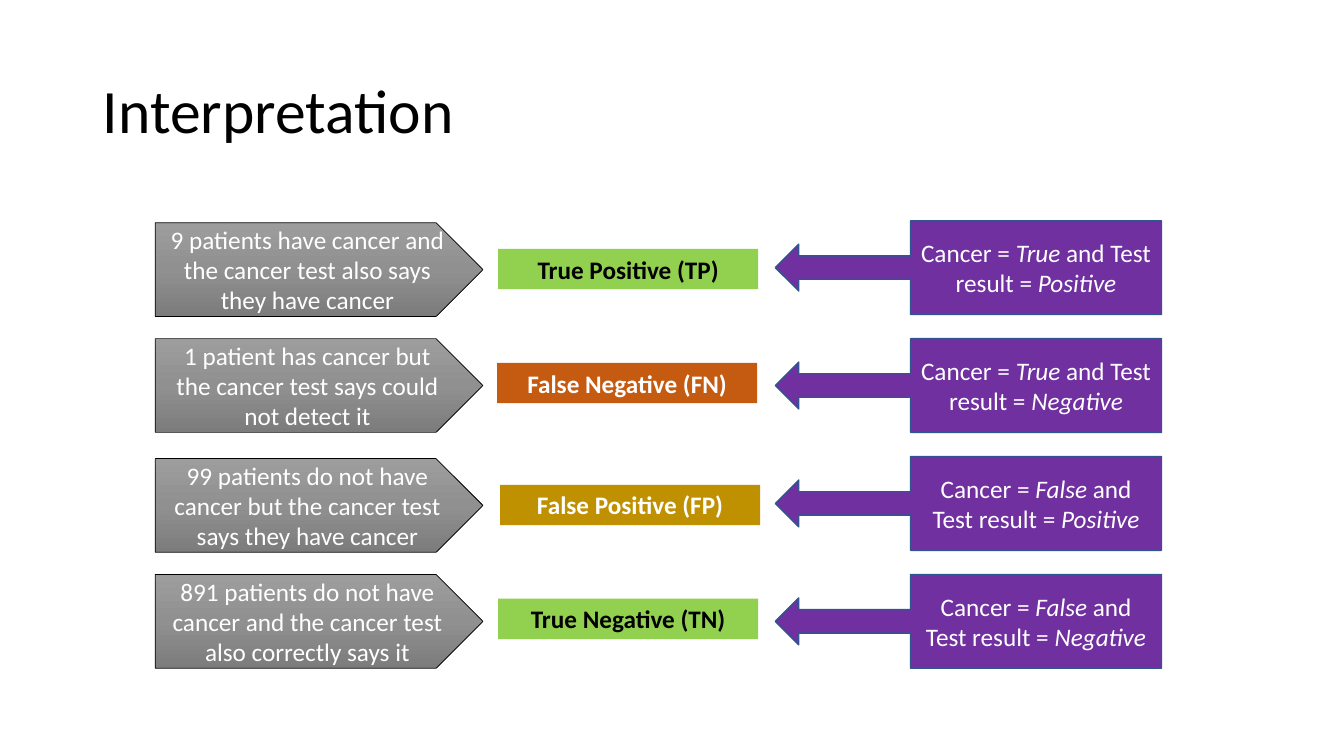
"""Build the slide that interprets the four outcomes of a cancer test."""
from copy import deepcopy

from pptx import Presentation
from pptx.dml.color import RGBColor
from pptx.enum.shapes import MSO_SHAPE
from pptx.enum.text import MSO_ANCHOR, MSO_AUTO_SIZE, PP_ALIGN
from pptx.util import Inches, Pt

COLORS = {
    "black": "000000", "white": "FFFFFF", "green": "92D050",
    "orange": "C55A11", "gold": "BF9000", "purple": "7030A0",
    "navy": "325491", "gray_top": "9D9D9D", "gray_mid": "909090",
    "gray_low": "7C7C7C",
}
PLATE_X, PLATE_W = 1.54, 3.25
LABEL_W, LABEL_H = 2.58, 0.4
CALLOUT_X, CALLOUT_W = 7.69, 3.83
CALLOUT_TOP, CALLOUT_PITCH = 2.19, 1.17
ROW_H = 0.93

OUTCOMES = [
    (2.21, "9 patients have cancer and the cancer test also says they have cancer",
     4.94, 2.47, "True Positive (TP)", "green", "black", "True", "Positive"),
    (3.36, "1 patient has cancer but the cancer test says could not detect it",
     4.93, 3.6, "False Negative (FN)", "orange", "white", "True", "Negative"),
    (4.55, "99 patients do not have cancer but the cancer test says they have cancer",
     4.96, 4.81, "False Positive (FP)", "gold", "white", "False", "Positive"),
    (5.7, "891 patients do not have cancer and the cancer test also correctly says it",
     4.94, 5.94, "True Negative (TN)", "green", "black", "False", "Negative"),
]


def rgb(name):
    """Return the named colour."""
    return RGBColor.from_string(COLORS[name])


def write(sp, text, size=18, color="white", bold=False,
          align=PP_ALIGN.CENTER, anchor=MSO_ANCHOR.MIDDLE):
    """Write text into a shape; parts between asterisks are italic."""
    tf = sp.text_frame
    tf.word_wrap = True
    tf.vertical_anchor = anchor
    p = tf.paragraphs[0]
    p.alignment = align
    for i, part in enumerate(text.split("*")):
        if part:
            r = p.add_run()
            r.text = part
            r.font.name = "Calibri"
            r.font.size = Pt(size)
            r.font.bold = bold
            r.font.italic = i % 2 == 1
            r.font.color.rgb = rgb(color)


prs = Presentation()
prs.slide_width, prs.slide_height = Inches(13.33), Inches(7.5)
slide = prs.slides.add_slide(prs.slide_layouts[5])
shapes = slide.shapes

title = shapes.title
title.left, title.top = Inches(0.92), Inches(0.4)
title.width, title.height = Inches(11.5), Inches(1.45)
write(title, "Interpretation", size=44, color="black", align=PP_ALIGN.LEFT)
title.text_frame.paragraphs[0].line_spacing = 0.9

for row, (plate_y, finding, label_x, label_y, label, fill, ink,
          cancer, result) in enumerate(OUTCOMES):
    plate = shapes.add_shape(MSO_SHAPE.PENTAGON, Inches(PLATE_X), Inches(plate_y),
                             Inches(PLATE_W), Inches(ROW_H))
    plate.shadow.inherit = False
    plate.fill.gradient()
    plate.fill.gradient_angle = 270
    first = plate._element.spPr.xpath(".//a:gs")[0]
    first.addnext(deepcopy(first))
    for stop, position, shade in zip(plate.fill.gradient_stops, (0, 0.5, 1),
                                     ("gray_top", "gray_mid", "gray_low")):
        stop.position = position
        stop.color.rgb = rgb(shade)
    plate.line.color.rgb = rgb("black")
    plate.line.width = Pt(0.5)
    write(plate, finding)

    tag = shapes.add_shape(MSO_SHAPE.RECTANGLE, Inches(label_x), Inches(label_y),
                           Inches(LABEL_W), Inches(LABEL_H))
    tag.shadow.inherit = False
    tag.fill.solid()
    tag.fill.fore_color.rgb = rgb(fill)
    tag.line.fill.background()
    write(tag, label, color=ink, bold=True, anchor=MSO_ANCHOR.TOP)
    tag.text_frame.auto_size = MSO_AUTO_SIZE.SHAPE_TO_FIT_TEXT

    callout = shapes.add_shape(MSO_SHAPE.LEFT_ARROW_CALLOUT, Inches(CALLOUT_X),
                               Inches(CALLOUT_TOP + row * CALLOUT_PITCH),
                               Inches(CALLOUT_W), Inches(ROW_H))
    callout.shadow.inherit = False
    callout.fill.solid()
    callout.fill.fore_color.rgb = rgb("purple")
    callout.line.color.rgb = rgb("navy")
    callout.line.width = Pt(1)
    write(callout, f"Cancer = *{cancer}* and Test result = *{result}*")

prs.save("out.pptx")
